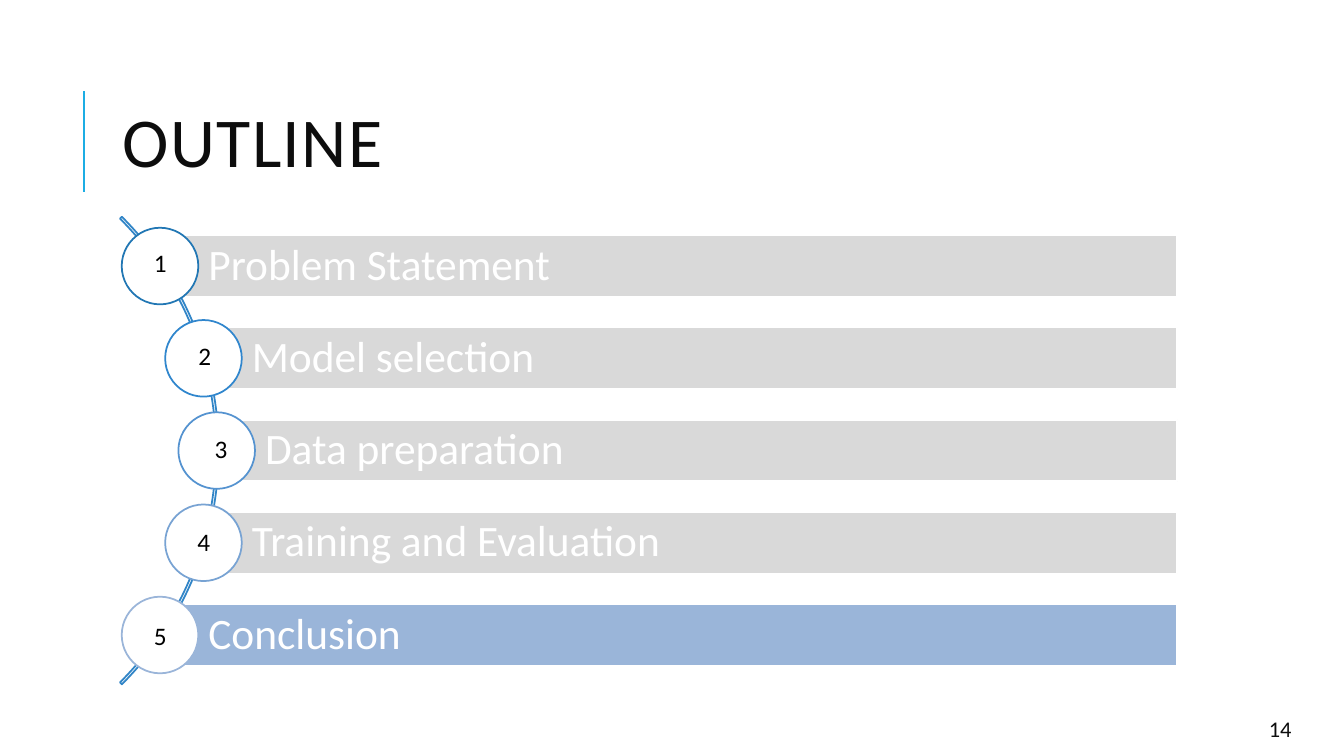
from math import sqrt

from lxml.etree import SubElement
from pptx import Presentation
from pptx.dml.color import RGBColor
from pptx.enum.shapes import MSO_CONNECTOR, MSO_SHAPE
from pptx.enum.text import MSO_ANCHOR, PP_ALIGN
from pptx.oxml.ns import qn
from pptx.util import Inches, Pt

# Grid: square cells, 75 rows high; every length below counts cells
COLS, ROWS = 133.33, 75
CELL = Inches(0.1)

# Arc on which the circles sit
HUB_X, HUB_Y = -11.1, 44.7
ARC, TRACK = 32.8, 32.6
GAP = 9.15
BAR_END, BAR_H, DISC = 116.8, 6.1, 7.6

# Label, bar fill, circle line, shift of the digit from the circle's centre
STEPS = [
    ("Problem Statement", "D9D9D9", "2277B4", -1.6),
    ("Model selection", "D9D9D9", "3086CD", -1.5),
    ("Data preparation", "D9D9D9", "5593D0", -1.2),
    ("Training and Evaluation", "D9D9D9", "78A3D3", -1.6),
    ("Conclusion", "9AB5D9", "9AB5D9", -1.6),
]


def span(*cells):
    return [round(n * CELL) for n in cells]


def color(code):
    return RGBColor.from_string(code)


def assign(item, values):
    for name, value in values.items():
        setattr(item, name, value)


def write(shape, text, size, ink, inset=(1, 0.5, 1, 0.5), align=PP_ALIGN.LEFT,
          anchor=MSO_ANCHOR.MIDDLE, lead=1.0):
    frame = shape.text_frame
    left, top, right, bottom = span(*inset)
    assign(frame, {"word_wrap": True, "vertical_anchor": anchor,
                   "margin_left": left, "margin_top": top,
                   "margin_right": right, "margin_bottom": bottom})
    line = frame.paragraphs[0]
    assign(line, {"alignment": align, "line_spacing": lead})
    run = line.add_run()
    run.text = text
    assign(run.font, {"name": "Calibri", "size": Pt(size)})
    run.font.color.rgb = color(ink)
    return run


def label(slide, place, text, size, ink, **style):
    return write(slide.shapes.add_textbox(*span(*place)), text, size, ink, **style)


def figure(slide, kind, place, edge, fill=None):
    shape = slide.shapes.add_shape(kind, *span(*place))
    shape.shadow.inherit = False
    if fill:
        shape.fill.solid()
        shape.fill.fore_color.rgb = color(fill)
    else:
        shape.fill.background()
    shape.line.color.rgb = color(edge)
    shape.line.width = Pt(1.25)
    return shape


def rule(slide, ends, ink, width):
    line = slide.shapes.add_connector(MSO_CONNECTOR.STRAIGHT, *span(*ends))
    line.line.color.rgb = color(ink)
    line.line.width = Pt(width)
    SubElement(line._element.spPr, qn("a:effectLst"))


def arc(slide):
    place = (HUB_X - ARC, HUB_Y - ARC, 2 * ARC, 2 * ARC)
    shape = figure(slide, MSO_SHAPE.BLOCK_ARC, place, "3185C7")
    for index, value in enumerate((189, 27, 0.004)):
        shape.adjustments[index] = value


def step(slide, index, text, fill, edge, shift):
    away = index - (len(STEPS) - 1) / 2
    mid = HUB_Y + away * GAP
    left = HUB_X + sqrt(TRACK ** 2 - (away * GAP) ** 2)
    bar = figure(slide, MSO_SHAPE.RECTANGLE,
                 (left, mid - BAR_H / 2, BAR_END - left, BAR_H), "FFFFFF", fill)
    write(bar, text, 31, "FFFFFF", inset=(4.8, 0.9, 0.9, 0.9), lead=0.9)
    figure(slide, MSO_SHAPE.OVAL,
           (left - DISC / 2, mid - DISC / 2, DISC, DISC), edge, "FFFFFF")
    # Digits run on a slightly wider pitch than the circles
    label(slide, (left + shift, 24 + 9.25 * index, 3.4, 4), str(index + 1),
          18, "000000", anchor=MSO_ANCHOR.TOP)


def main():
    deck = Presentation()
    wide, high = span(COLS, ROWS)
    assign(deck, {"slide_width": wide, "slide_height": high})
    slide = deck.slides.add_slide(deck.slide_layouts[6])

    # Heading
    rule(slide, (8.3, 19, 8.3, 9), "1CADE4", 1.5)
    title = label(slide, (11.2, 6.4, 106.3, 16.4), "OUTLINE", 50, "0D0D0D", lead=0.8)
    title.font._element.set("spc", "100")

    # Steps along the arc
    arc(slide)
    for index, values in enumerate(STEPS):
        step(slide, index, *values)

    # Slide number
    label(slide, (118.5, 70.8, 10.6, 3), "14", 16, "0D0D0D", align=PP_ALIGN.RIGHT)

    deck.save("out.pptx")


if __name__ == "__main__":
    main()
